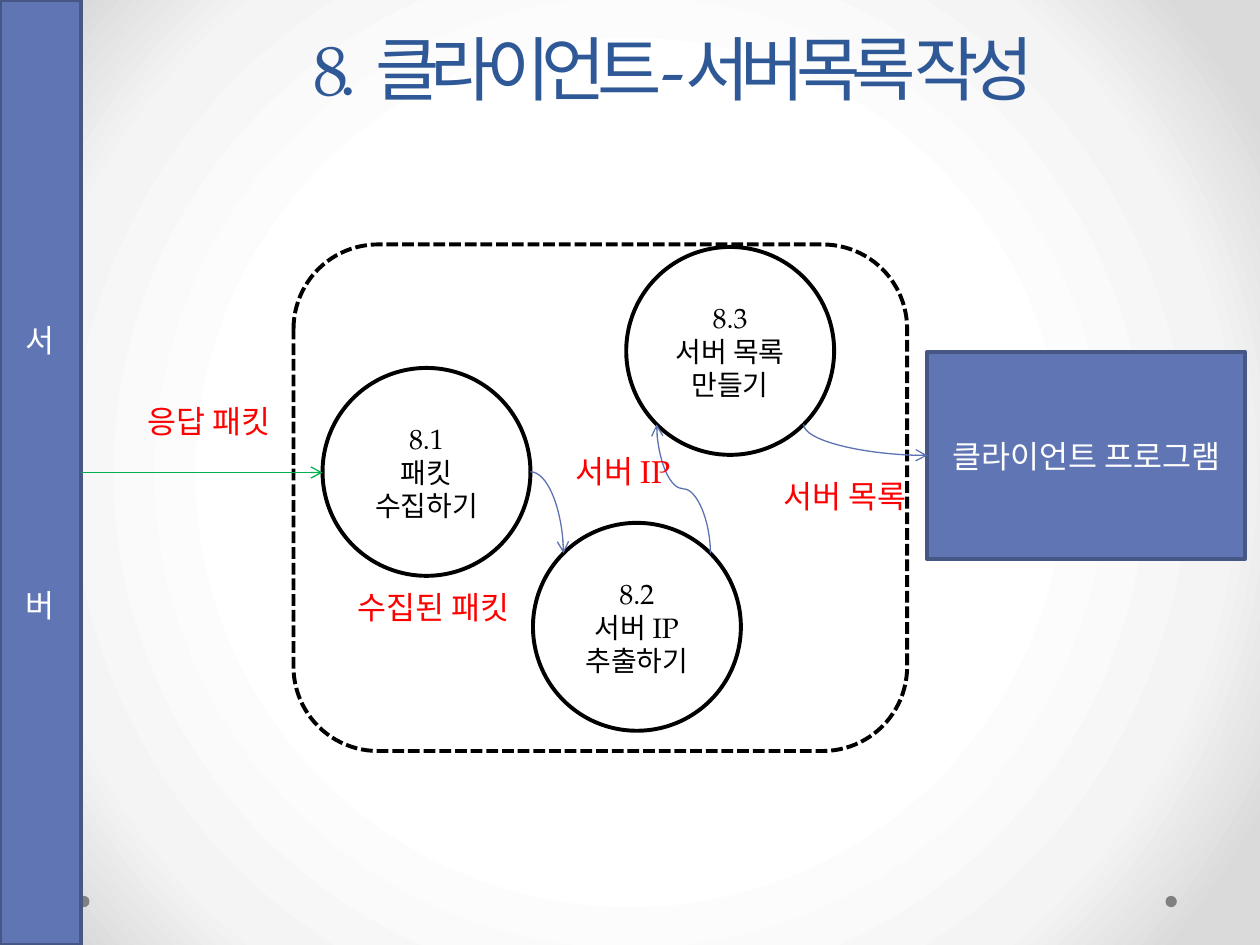
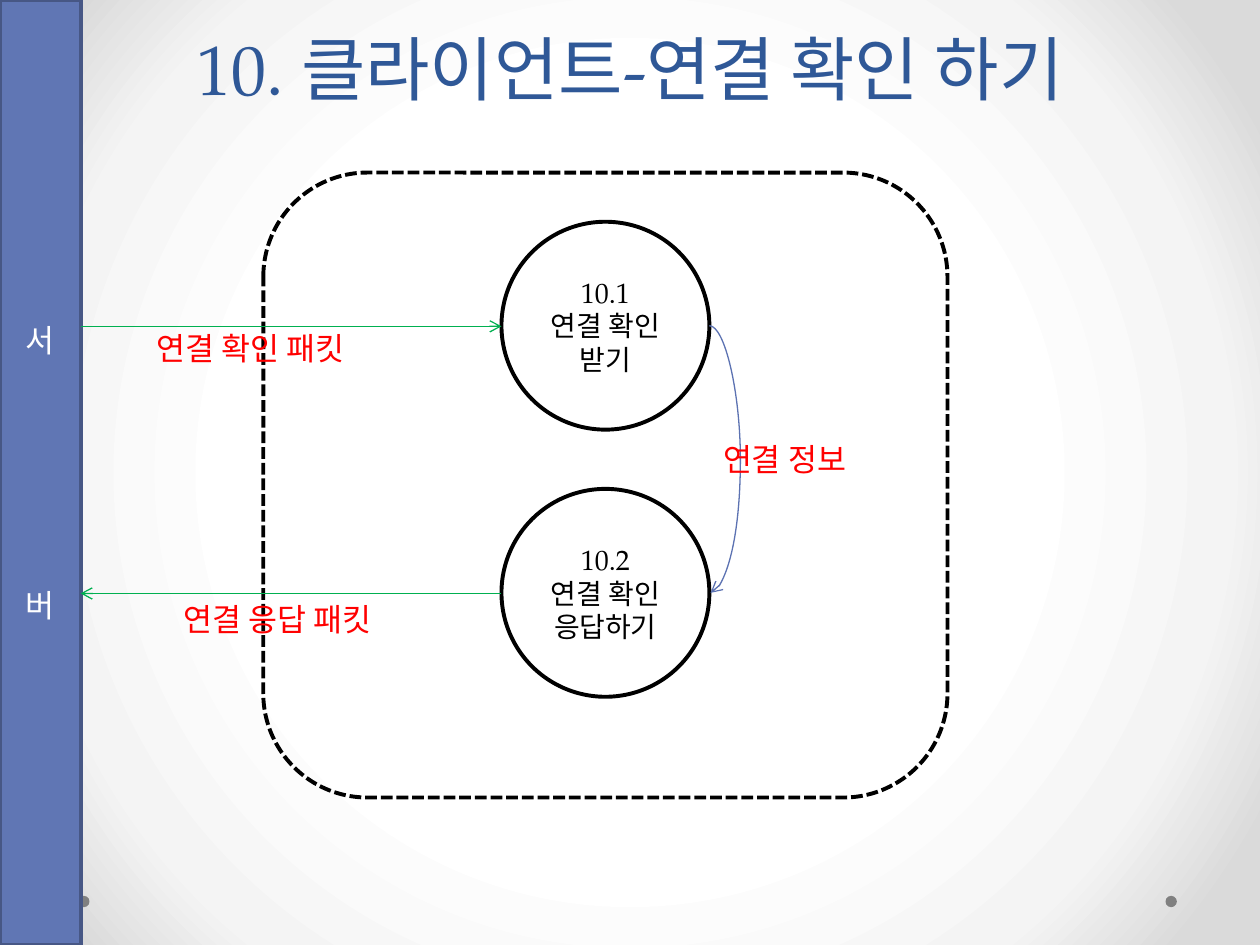
from dataclasses import dataclass
from math import sqrt

from lxml import etree
from pptx import Presentation
from pptx.dml.color import RGBColor
from pptx.enum.dml import MSO_LINE
from pptx.enum.shapes import MSO_CONNECTOR as Connector, MSO_SHAPE as Shape
from pptx.enum.text import MSO_ANCHOR as Anchor, MSO_AUTO_SIZE as AutoSize, PP_ALIGN as Align
from pptx.oxml import parse_xml
from pptx.oxml.ns import nsdecls, qn
from pptx.util import Inches, Pt


@dataclass(frozen=True)
class Theme:
    font: str = "TeX Gyre Pagella"
    title: str = "2F5897"
    block: str = "6076B4"
    block_edge: str = "475785"
    curve: str = "5C72B2"
    packet: str = "00B050"
    label: str = "FF0000"
    black: str = "000000"
    white: str = "FFFFFF"
    dot: str = "808080"
    title_size: int = 40
    text_size: int = 18
    process_size: int = 16
    heavy: float = 2.25
    thin: float = 0.75


THEME = Theme()
BACKGROUND = [(50, "FFFFFF"), (76, "F4F4F4"), (92, "DADADA")]
DOTS = [(9.25, 7.11, 0.09, 0.09), (0.62, 7.11, 0.09, 0.09)]
BAND = (0, 0, 0.64, 7.5)
BAND_TEXT = ["서", "버"]
BAND_GAP = 130
DIAMETER = 1.65
DIAGONAL = 1 / sqrt(2)
SIDES = {
    "left": (-1, 0), "right": (1, 0),
    "upper left": (-DIAGONAL, -DIAGONAL), "upper right": (DIAGONAL, -DIAGONAL),
    "lower left": (-DIAGONAL, DIAGONAL), "lower right": (DIAGONAL, DIAGONAL),
}

# Content: packets are (process, height, direction);
# curves are (source, side, target, side, first axis, preset, bend)
SLIDES = [
    {
        "title": "8.  클라이언트-서버목록 작성",
        "title_box": (0.5, 0, 9.7, 0.92),
        "title_spacing": -5,
        "frame": (2.33, 1.94, 4.87, 4.02),
        "processes": {
            "8.1": (2.56, 2.92, ["패킷 수집하기"]),
            "8.2": (4.23, 4.15, ["서버 IP 추출하기"]),
            "8.3": (4.97, 1.96, ["서버 목록", "만들기"]),
        },
        "blocks": {"client": ((7.36, 2.79, 2.52, 1.65), ["클라이언트 프로그램"])},
        "packets": [("8.1", 3.75, "in")],
        "curves": [
            ("8.1", "right", "8.2", "upper left", "across", "curvedConnector2", None),
            ("8.3", "lower right", "client", "left", "down", "curvedConnector2", None),
            ("8.2", "upper right", "8.3", "lower left", "down", "curvedConnector3", 0.5),
        ],
        "labels": [
            ("응답 패킷", 1.07, 3.14, 1.5),
            ("서버 목록", 6.12, 3.74, 1.5),
            ("수집된 패킷", 2.74, 4.62, 1.74),
            ("서버 IP", 4.47, 3.54, 1.74),
        ],
    },
    {
        "title": "10. 클라이언트-연결 확인 하기",
        "title_box": (0.5, 0, 9, 0.92),
        "title_spacing": 0,
        "frame": (2.09, 1.37, 5.43, 4.96),
        "processes": {
            "10.1": (3.98, 1.76, ["연결 확인 받기"]),
            "10.2": (3.98, 3.88, ["연결 확인 응답하기"]),
        },
        "blocks": {},
        "packets": [("10.1", 2.59, "in"), ("10.2", 4.71, "out")],
        "curves": [
            ("10.1", "right", "10.2", "right", "across", "curvedConnector3", 25),
        ],
        "labels": [
            ("연결 확인 패킷", 1.14, 2.56, 1.89),
            ("연결 정보", 5.64, 3.44, 1.5),
            ("연결 응답 패킷", 1.36, 4.71, 1.89),
        ],
    },
]


# Formatting helpers
def apply(target, **values):
    for name, value in values.items():
        setattr(target, name, value)


def write(frame, lines, size, color, align=Align.CENTER, gap=0, **frame_format):
    apply(frame, word_wrap=True, **frame_format)
    for index, line in enumerate(lines):
        paragraph = frame.add_paragraph() if index else frame.paragraphs[0]
        paragraph.text = line
        apply(paragraph, alignment=align, space_before=Pt(gap if index else 0))
        apply(paragraph.font, name=THEME.font, size=Pt(size))
        paragraph.font.color.rgb = RGBColor.from_string(color)


def add_shape(slide, preset, box, fill=None, line=None, dash=None):
    shape = slide.shapes.add_shape(preset, *map(Inches, box))
    shape.shadow.inherit = False
    if fill:
        shape.fill.solid()
        shape.fill.fore_color.rgb = RGBColor.from_string(fill)
    else:
        shape.fill.background()
    if line:
        shape.line.color.rgb = RGBColor.from_string(line)
        apply(shape.line, width=Pt(THEME.heavy), dash_style=dash)
    else:
        shape.line.fill.background()
    return shape


def add_arrow(slide, kind, start, end, color):
    arrow = slide.shapes.add_connector(kind, *map(Inches, (*start, *end)))
    arrow.line.color.rgb = RGBColor.from_string(color)
    arrow.line.width = Pt(THEME.thin)
    properties = arrow._element.spPr
    etree.SubElement(properties.find(qn("a:ln")), qn("a:tailEnd"), type="arrow")
    etree.SubElement(properties, qn("a:effectLst"))
    return arrow


def add_curve(slide, start, end, axis, preset, bend):
    (x1, y1), (x2, y2) = start, end
    if x1 == x2:
        x2 += 0.01
    if axis == "down":
        # A quarter turn swaps width and height about the centre
        x, y, half_x, half_y = (x1 + x2) / 2, (y1 + y2) / 2, (x2 - x1) / 2, (y2 - y1) / 2
        x1, y1, x2, y2 = x + half_y, y - half_x, x - half_y, y + half_x
    curve = add_arrow(slide, Connector.CURVE, (x1, y1), (x2, y2), THEME.curve)
    properties = curve._element.spPr
    if axis == "down":
        properties.find(qn("a:xfrm")).set("rot", str(270 * 60000))
    geometry = properties.find(qn("a:prstGeom"))
    geometry.set("prst", preset)
    if bend is not None:
        guide = etree.SubElement(geometry.find(qn("a:avLst")), qn("a:gd"))
        guide.set("name", "adj1")
        guide.set("fmla", f"val {round(bend * 100000)}")


def port(box, side):
    left, top, width, height = box
    across, down = SIDES[side]
    return left + width / 2 * (1 + across), top + height / 2 * (1 + down)


# Shared parts
def set_background(master):
    stops = "".join(
        f'<a:gs pos="{place * 1000}"><a:srgbClr val="{color}"/></a:gs>'
        for place, color in BACKGROUND)
    background = parse_xml(
        f'<p:bg {nsdecls("p", "a")}><p:bgPr><a:gradFill rotWithShape="1">'
        f'<a:gsLst>{stops}</a:gsLst><a:path path="circle">'
        '<a:fillToRect l="50000" t="50000" r="50000" b="50000"/></a:path>'
        '</a:gradFill><a:effectLst/></p:bgPr></p:bg>')
    common = master._element.cSld
    for old in common.findall(qn("p:bg")):
        common.remove(old)
    common.insert(0, background)


def add_title(slide, content):
    title = slide.shapes.title
    apply(title, **dict(zip(("left", "top", "width", "height"),
                            map(Inches, content["title_box"]))))
    write(title.text_frame, [content["title"]], THEME.title_size, THEME.title,
          vertical_anchor=Anchor.BOTTOM, auto_size=AutoSize.NONE)
    paragraph = title.text_frame.paragraphs[0]
    paragraph.line_spacing = Pt(58)
    if content["title_spacing"]:
        run = paragraph.runs[0]
        run._r.get_or_add_rPr().set("spc", str(content["title_spacing"] * 100))


def add_block(slide, box, lines, gap=0):
    block = add_shape(slide, Shape.RECTANGLE, box, THEME.block, THEME.block_edge)
    write(block.text_frame, lines, THEME.text_size, THEME.white, gap=gap,
          vertical_anchor=Anchor.MIDDLE)
    return block


def build_slide(presentation, content):
    slide = presentation.slides.add_slide(presentation.slide_layouts[5])
    add_title(slide, content)
    for dot in DOTS:
        add_shape(slide, Shape.OVAL, dot, THEME.dot)
    band = add_block(slide, BAND, BAND_TEXT, BAND_GAP)
    add_shape(slide, Shape.ROUNDED_RECTANGLE, content["frame"],
              line=THEME.black, dash=MSO_LINE.SQUARE_DOT)

    # Processes and outside programs
    boxes = {}
    inset = Inches(0.04)
    for number, (left, top, lines) in content["processes"].items():
        boxes[number] = (left, top, DIAMETER, DIAMETER)
        circle = add_shape(slide, Shape.OVAL, boxes[number], THEME.white, THEME.black)
        write(circle.text_frame, [number, *lines], THEME.process_size, THEME.black,
              vertical_anchor=Anchor.MIDDLE, margin_left=inset, margin_right=inset,
              margin_top=inset, margin_bottom=inset)
    for name, (box, lines) in content["blocks"].items():
        boxes[name] = box
        add_block(slide, box, lines)

    # Flows
    band_left, band_top, band_width, band_height = BAND
    for number, height, direction in content["packets"]:
        ends = [(band_left + band_width, height), (boxes[number][0], height)]
        if direction == "out":
            ends.reverse()
        arrow = add_arrow(slide, Connector.STRAIGHT, *ends, THEME.packet)
        if direction == "in" and height == band_top + band_height / 2:
            arrow.begin_connect(band, 3)
    for source, source_side, target, target_side, *bending in content["curves"]:
        add_curve(slide, port(boxes[source], source_side),
                  port(boxes[target], target_side), *bending)

    # Flow labels
    for text, left, top, width in content["labels"]:
        label = slide.shapes.add_textbox(*map(Inches, (left, top, width, 0.4)))
        write(label.text_frame, [text], THEME.text_size, THEME.label, Align.LEFT,
              auto_size=AutoSize.SHAPE_TO_FIT_TEXT)


def main():
    presentation = Presentation()
    apply(presentation, slide_width=Inches(10), slide_height=Inches(7.5))
    set_background(presentation.slide_master)
    for content in SLIDES:
        build_slide(presentation, content)
    presentation.save("out.pptx")


if __name__ == "__main__":
    main()
